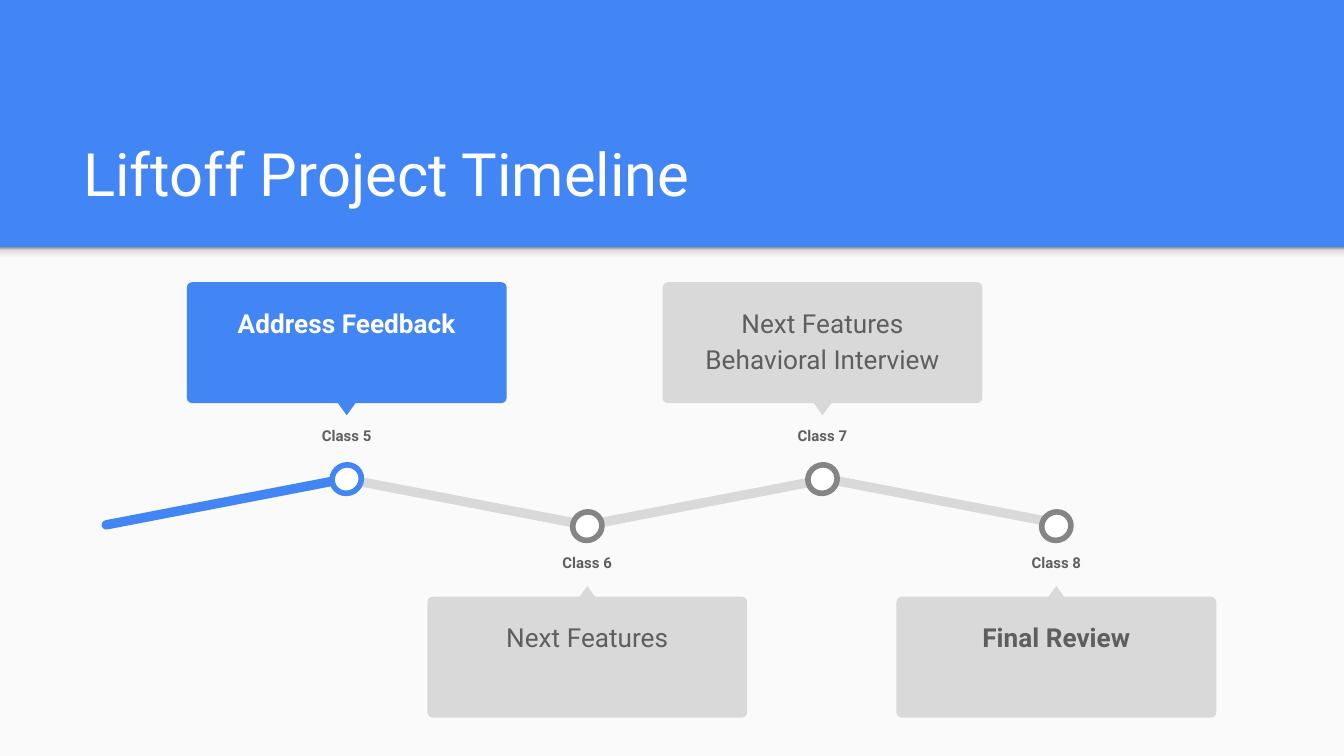
from dataclasses import dataclass

from lxml import etree
from pptx import Presentation
from pptx import util as u
from pptx.dml.color import RGBColor
from pptx.enum import shapes, text
from pptx.oxml.ns import qn

PX = 4572  # EMU in one px, 200 px to the inch
WIDE, HIGH = 2000, 1125
FORM = shapes.MSO_SHAPE


@dataclass(frozen=True)
class Theme:
    font: str = "Roboto"
    blue: str = "4285F4"
    paper: str = "FAFAFA"
    white: str = "FFFFFF"
    gray: str = "D9D9D9"
    ring: str = "858585"
    ink: str = "5E5E5E"
    shade: tuple = ((0, "F9F9F9"), (36, "F9F9F9"), (80, "DEDEDE"), (100, "999999"))
    title: int = 32
    body: int = 14
    label: int = 8
    line: int = 3


@dataclass(frozen=True)
class Row:
    """Tops of the parts of a stop above or below the line."""
    card: int
    tip: int
    label: int
    dot: int
    turn: int


class Deck:
    def __init__(self, theme):
        self.theme = theme
        self.prs = Presentation()
        self.prs.slide_width = u.Emu(WIDE * PX)
        self.prs.slide_height = u.Emu(HIGH * PX)
        self.slide = self.prs.slides.add_slide(self.prs.slide_layouts[6])
        back = self.slide.background.fill
        back.solid()
        back.fore_color.rgb = RGBColor.from_string(theme.blue)

    def shape(self, form, box, fill, turn=0, round=None, line=None):
        item = self.slide.shapes.add_shape(form, *[u.Emu(n * PX) for n in box])
        item.shadow.inherit = False
        item.rotation = turn
        item.fill.solid()
        item.fill.fore_color.rgb = RGBColor.from_string(fill)
        if round is not None:
            item.adjustments[0] = round
        if line:
            item.line.color.rgb = RGBColor.from_string(line)
            item.line.width = u.Pt(self.theme.line)
        else:
            item.line.fill.background()
        return item

    def fade(self, box, stops):
        """Add a band whose gradient runs from bottom to top."""
        item = self.shape(FORM.RECTANGLE, box, self.theme.paper)
        item.fill.gradient()
        item.fill.gradient_angle = 90
        ramp = item.element.find(".//" + qn("a:gsLst"))
        for old in list(ramp):
            ramp.remove(old)
        for place, color in stops:
            stop = etree.SubElement(ramp, qn("a:gs"), pos=str(place * 1000))
            etree.SubElement(stop, qn("a:srgbClr"), val=color)

    def text(self, box, lines, size, color, bold=False):
        item = self.slide.shapes.add_textbox(*[u.Emu(n * PX) for n in box])
        frame = item.text_frame
        frame.word_wrap = True
        frame.margin_left = frame.margin_right = u.Inches(0.1)
        frame.margin_top = frame.margin_bottom = u.Inches(0.1)
        para = frame.paragraphs[0]
        for i, line in enumerate(lines):
            if i:
                para.add_line_break()
            run = para.add_run()
            run.text = line
            run.font.name = self.theme.font
            run.font.size = u.Pt(size)
            run.font.bold = bold
            run.font.color.rgb = RGBColor.from_string(color)
        return frame

    def title(self, box, line):
        frame = self.text(box, [line], self.theme.title, self.theme.white)
        frame.vertical_anchor = text.MSO_ANCHOR.BOTTOM

    def note(self, *args):
        """Add centred text with loose lines."""
        para = self.text(*args).paragraphs[0]
        para.alignment = text.PP_ALIGN.CENTER
        para.line_spacing = 1.15
        para.space_after = u.Pt(16)

    def bar(self, mid, turn, fill):
        self.shape(FORM.ROUNDED_RECTANGLE, (mid - 187, 740, 374, 14), fill, turn, 0.5)

    def stop(self, mid, row, label, lines, bold, live):
        """Add a dot on the line with its label and its card."""
        th = self.theme
        fill, ring, ink = (th.blue, th.blue, th.white) if live else (th.gray, th.ring, th.ink)
        self.shape(FORM.OVAL, (mid - 22, row.dot, 44, 42), th.white, 330.2, line=ring)
        self.note((mid - 97, row.label, 194, 70), [label], th.label, th.ink, True)
        self.shape(FORM.ROUNDED_RECTANGLE, (mid - 238, row.card, 476, 180), fill, round=0.045)
        self.shape(FORM.ISOSCELES_TRIANGLE, (mid - 13, row.tip, 26, 18), fill, row.turn)
        self.note((mid - 226, row.card + 10, 452, 160), lines, th.body, ink, bold)


def main():
    theme = Theme()
    deck = Deck(theme)
    deck.shape(FORM.RECTANGLE, (0, 368, WIDE, HIGH - 368), theme.paper)
    deck.fade((0, 368, WIDE, 24), theme.shade)
    deck.title((104, 162, 1798, 168), "Liftoff Project Timeline")

    for i, mid in enumerate((335, 693, 1053, 1409)):
        deck.bar(mid, 10.9 if i % 2 else 349.1, theme.gray if i else theme.blue)

    rows = (Row(card=420, tip=600, label=616, dot=692, turn=180),
            Row(card=888, tip=872, label=804, dot=762, turn=0))
    stops = (
        (516, ["Address Feedback"], True),
        (874, ["Next Features"], False),
        (1224, ["Next Features", "Behavioral Interview"], False),
        (1572, ["Final Review"], True),
    )
    for i, (mid, lines, bold) in enumerate(stops):
        deck.stop(mid, rows[i % 2], f"Class {i + 5}", lines, bold, live=i == 0)

    deck.prs.save("out.pptx")


if __name__ == "__main__":
    main()
